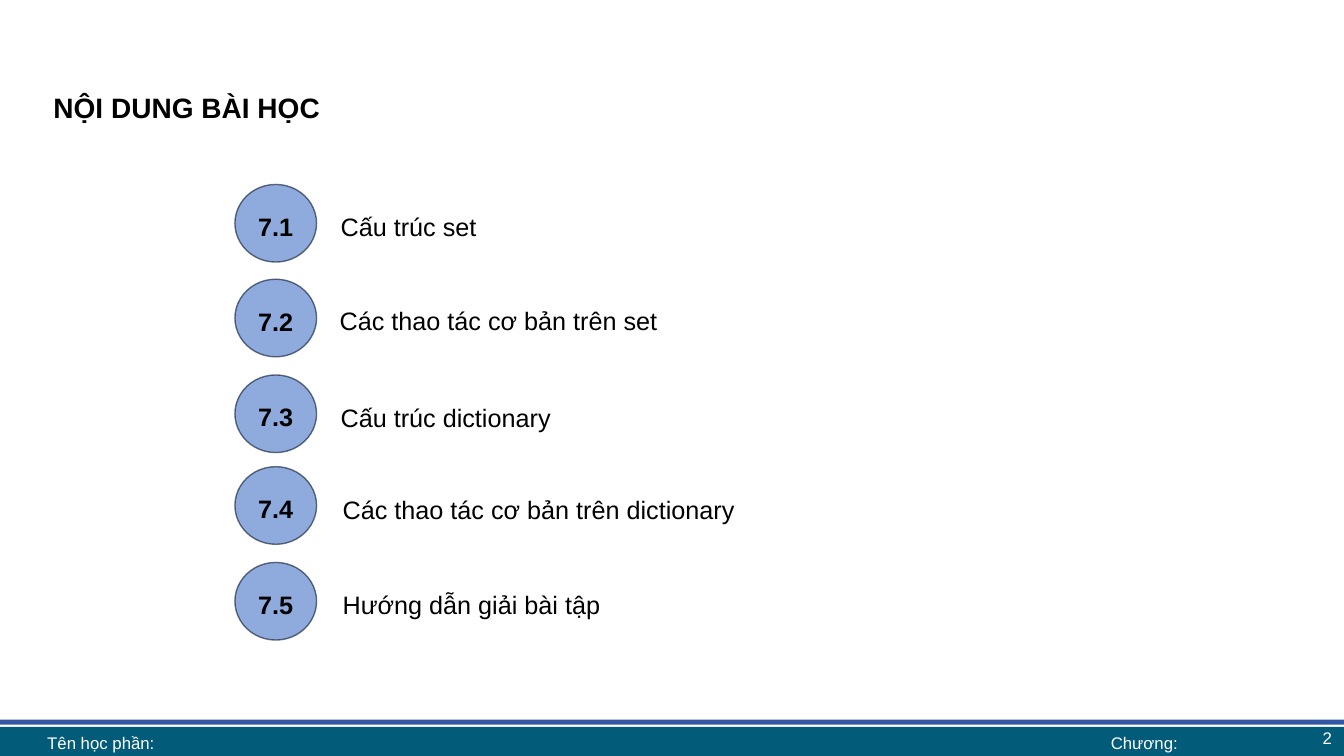
from dataclasses import dataclass

from lxml import etree
from pptx import Presentation
from pptx import util as u
from pptx.dml.color import RGBColor
from pptx.enum import shapes, text
from pptx.oxml import ns

PX = u.Inches(1) // 100
ALIGN = text.PP_ALIGN
MIDDLE = text.MSO_ANCHOR.MIDDLE


@dataclass(frozen=True)
class Theme:
    font: str = "Arial"
    ink: str = "000000"
    white: str = "FFFFFF"
    teal: str = "025B79"
    blue: str = "3256A4"
    badge: str = "8FAADC"
    badge_line: str = "08172E"
    title_size: int = 20
    body_size: int = 18
    footer_size: int = 12


THEME = Theme()

BADGE_LEFT, BADGE_WIDTH, BADGE_HEIGHT = 233, 81, 77
TOPIC_HEIGHT = 42

TOPICS = [
    ("7.1", 183, "Cấu trúc set", 328, 200, 757),
    ("7.2", 277, "Các thao tác cơ bản trên set", 327, 293, 762),
    ("7.3", 372, "Cấu trúc dictionary", 328, 389, 506),
    ("7.4", 463, "Các thao tác cơ bản trên dictionary", 330, 481, 620),
    ("7.5", 558, "Hướng dẫn giải bài tập", 330, 575, 620),
]


def px(*lengths):
    return [u.Emu(length * PX) for length in lengths]


def write(shape, words, size, color, alignment, bold=False, spacing=None):
    paragraph = shape.text_frame.paragraphs[0]
    paragraph.text = words
    paragraph.alignment = alignment
    if spacing is not None:
        paragraph.line_spacing = spacing
        paragraph.space_before = u.Pt(5)
    font = paragraph.font
    font.name = THEME.font
    font.size = u.Pt(size)
    font.bold = bold
    font.color.rgb = RGBColor.from_string(color)


def add_filled(slide, kind, box, color):
    shape = slide.shapes.add_shape(kind, *px(*box))
    shape.shadow.inherit = False
    shape.fill.solid()
    shape.fill.fore_color.rgb = RGBColor.from_string(color)
    shape.line.fill.background()
    return shape


def add_title(slide, words):
    title = slide.shapes.title
    title.left, title.top, title.width, title.height = px(43, 78, 1247, 87)
    frame = title.text_frame
    frame.auto_size = text.MSO_AUTO_SIZE.NONE
    frame.vertical_anchor = text.MSO_ANCHOR.TOP
    write(title, words, THEME.title_size, THEME.ink, ALIGN.JUSTIFY, True, 1.2)


def add_badge(slide, number, top):
    box = (BADGE_LEFT, top, BADGE_WIDTH, BADGE_HEIGHT)
    badge = add_filled(slide, shapes.MSO_SHAPE.OVAL, box, THEME.badge)
    badge.line.color.rgb = RGBColor.from_string(THEME.badge_line)
    badge.line.width = u.Pt(1)
    line_color = badge.line._ln.find(".//" + ns.qn("a:srgbClr"))
    etree.SubElement(line_color, ns.qn("a:alpha"), val="60000")
    badge.text_frame.vertical_anchor = MIDDLE
    write(badge, number, THEME.body_size, THEME.ink, ALIGN.CENTER, True, 1.2)


def add_topic(slide, words, left, top, width):
    box = slide.shapes.add_textbox(*px(left, top, width, TOPIC_HEIGHT))
    box.text_frame.word_wrap = True
    box.text_frame.auto_size = text.MSO_AUTO_SIZE.SHAPE_TO_FIT_TEXT
    write(box, words, THEME.body_size, THEME.ink, ALIGN.JUSTIFY, spacing=u.Pt(25))


def add_footer_text(slide, words, box, alignment):
    footer = slide.shapes.add_textbox(*px(*box))
    frame = footer.text_frame
    frame.word_wrap = True
    frame.vertical_anchor = MIDDLE
    frame.margin_top = frame.margin_bottom = 0
    write(footer, words, THEME.footer_size, THEME.white, alignment)


def add_footer(slide):
    bar = shapes.MSO_SHAPE.RECTANGLE
    add_filled(slide, bar, (0, 721, 1333, 29), THEME.teal)
    add_filled(slide, bar, (0, 714, 1333, 5), THEME.blue)
    add_footer_text(slide, "Tên học phần:", (37, 721, 1024, 31), ALIGN.LEFT)
    add_footer_text(slide, "Chương:", (1060, 721, 150, 31), ALIGN.CENTER)
    add_footer_text(slide, "2", (1031, 714, 300, 35), ALIGN.RIGHT)


def main():
    presentation = Presentation()
    presentation.slide_width, presentation.slide_height = px(1333, 750)
    slide = presentation.slides.add_slide(presentation.slide_layouts[5])
    add_footer(slide)
    add_title(slide, "NỘI DUNG BÀI HỌC")
    for number, badge_top, words, left, top, width in TOPICS:
        add_badge(slide, number, badge_top)
        add_topic(slide, words, left, top, width)
    presentation.save("out.pptx")


if __name__ == "__main__":
    main()
